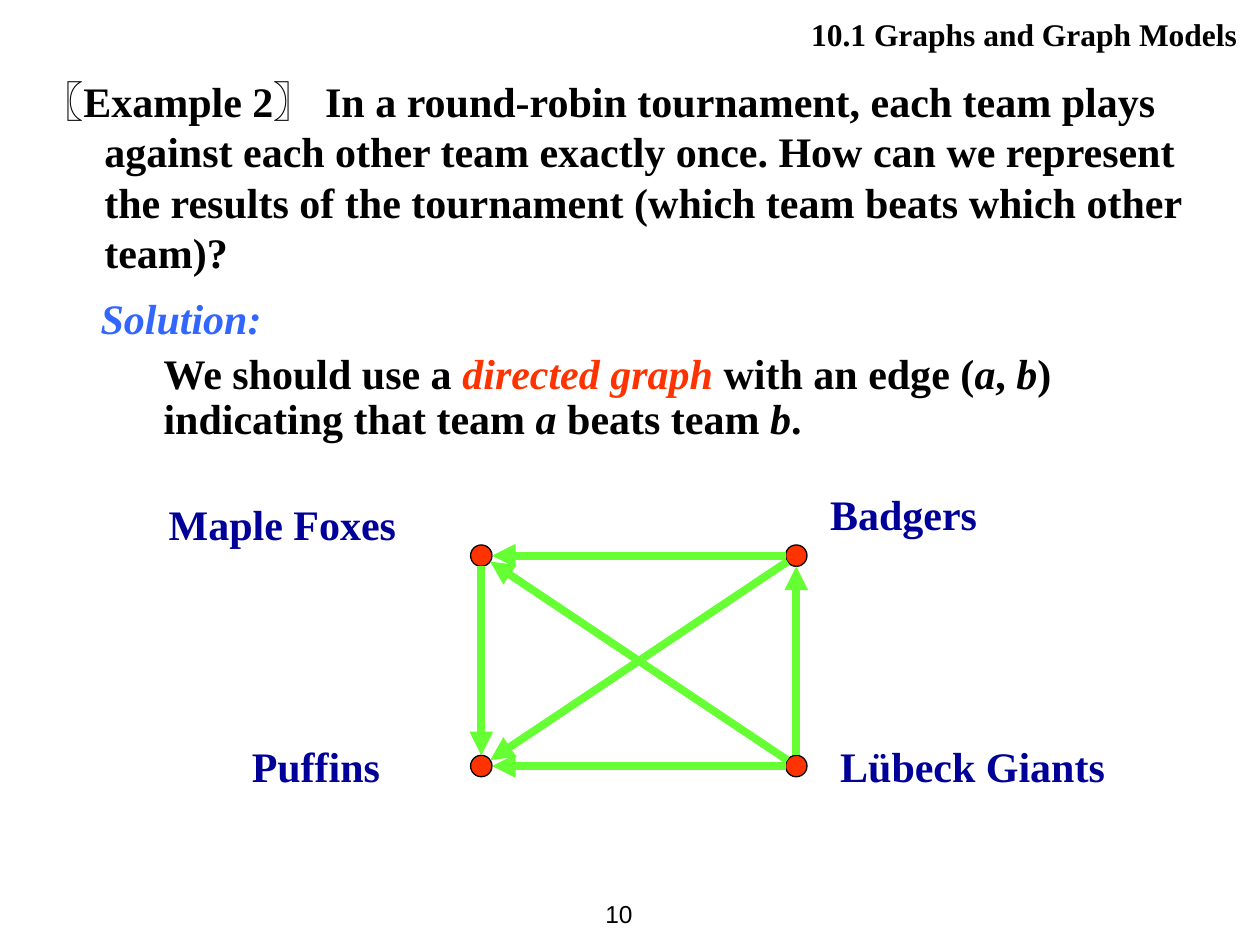
import math
import pptx
import pptx.util
import pptx.dml.color
import pptx.enum.shapes
import pptx.enum.text
import pptx.oxml.ns
from lxml import etree

Inches = pptx.util.Inches
Pt = pptx.util.Pt
ALIGN = pptx.enum.text.PP_ALIGN
ANCHOR = pptx.enum.text.MSO_ANCHOR
SERIF = "Times New Roman"
SANS = "Arial"
HUES = {"ink": "000000", "blue": "3366FF", "red": "FF3300",
        "navy": "000099", "green": "66FF33"}
SIDE = 0.17
DOTS = {"maple": (3.82, 4.41), "bruin": (6.32, 4.41),
        "puffin": (3.82, 6.08), "giant": (6.32, 6.08)}
LABELS = [("Maple Foxes", 1.24, 3.91, 2.58), ("Badgers", 6.49, 3.83, 1.75),
          ("Puffins", 1.9, 5.83, 1.83), ("Lübeck Giants", 6.57, 5.83, 3)]
EDGES = [("maple", "puffin"), ("bruin", "maple"), ("bruin", "puffin"),
         ("giant", "puffin"), ("giant", "maple"), ("giant", "bruin")]


def color(name):
    return pptx.dml.color.RGBColor.from_string(HUES[name])


def add_run(para, text, hue="ink", size=24, face=SERIF, bold=True, slant=False):
    run = para.add_run()
    run.text = text
    font = run.font
    font.name, font.size = face, Pt(size)
    font.bold, font.italic = bold, slant
    font.color.rgb = color(hue)


def add_box(slide, left, top, width, height, wrap=True):
    box = slide.shapes.add_textbox(*map(Inches, (left, top, width, height)))
    box.text_frame.word_wrap = wrap
    return box.text_frame


def indent(para, left, first):
    props = para._p.get_or_add_pPr()
    props.set("marL", str(Inches(left)))
    props.set("indent", str(Inches(first)))


def add_title(slide):
    title = slide.shapes.title
    title.left, title.top = Inches(5.71), Inches(0.02)
    title.width, title.height = Inches(4.29), Inches(0.5)
    frame = title.text_frame
    frame.word_wrap = True
    frame.vertical_anchor = ANCHOR.MIDDLE
    frame.margin_right = Inches(0.18)
    para = frame.paragraphs[0]
    para.alignment = ALIGN.RIGHT
    add_run(para, "10.1 Graphs and Graph Models", size=18)


def add_task(slide):
    para = add_box(slide, 0.23, 0.55, 9.53, 1.7).paragraphs[0]
    indent(para, 0.5, -0.5)
    add_run(para, "〖", face=SANS)
    add_run(para, "Example 2")
    add_run(para, "〗 ", face=SANS)
    add_run(para, "In a round-robin tournament, each team plays against each "
            "other team exactly once. How can we represent the results of the "
            "tournament (which team beats which other team)?")


def add_answer(slide):
    frame = add_box(slide, 0.7, 2.27, 9.08, 1.31)
    add_run(frame.paragraphs[0], "Solution:", "blue", slant=True)
    para = frame.add_paragraph()
    indent(para, 0.5, 0)
    para.line_spacing = 0.9
    para.space_before = para.space_after = Pt(6)
    add_run(para, "We should use a ")
    add_run(para, "directed graph", "red", slant=True)
    parts = [" with an edge (", "a", ", ", "b", ") indicating that team ",
             "a", " beats team ", "b", "."]
    for place, text in enumerate(parts):
        add_run(para, text, slant=place % 2 == 1)


def add_dot(slide, x, y):
    kind = pptx.enum.shapes.MSO_SHAPE.FLOWCHART_CONNECTOR
    dot = slide.shapes.add_shape(kind, Inches(x - SIDE / 2), Inches(y - SIDE / 2),
                                 Inches(SIDE), Inches(SIDE))
    dot.shadow.inherit = False
    dot.fill.solid()
    dot.fill.fore_color.rgb = color("red")
    dot.line.color.rgb = color("ink")
    dot.line.width = Pt(0.75)


def add_edge(slide, start, end):
    (x, y), (u, v) = start, end
    part = SIDE / 2 / math.dist(start, end)
    dx, dy = (u - x) * part, (v - y) * part
    kind = pptx.enum.shapes.MSO_CONNECTOR.STRAIGHT
    ends = map(Inches, (x + dx, y + dy, u - dx, v - dy))
    edge = slide.shapes.add_connector(kind, *ends)
    edge.line.color.rgb = color("green")
    edge.line.width = Pt(4.5)
    qn = pptx.oxml.ns.qn
    etree.SubElement(edge.line._get_or_add_ln(), qn("a:tailEnd"), type="triangle")
    etree.SubElement(edge._element.spPr, qn("a:effectLst"))


def add_page(slide):
    frame = add_box(slide, 4.45, 7, 0.67, 0.5, wrap=False)
    frame.vertical_anchor = ANCHOR.MIDDLE
    para = frame.paragraphs[0]
    para.alignment = ALIGN.RIGHT
    add_run(para, "10", size=14, face=SANS, bold=False)


def main():
    deck = pptx.Presentation()
    deck.slide_width, deck.slide_height = Inches(10), Inches(7.5)
    slide = deck.slides.add_slide(deck.slide_layouts[5])
    add_title(slide)
    add_page(slide)
    add_task(slide)
    add_answer(slide)
    for text, left, top, width in LABELS:
        frame = add_box(slide, left, top, width, 0.5)
        add_run(frame.paragraphs[0], text, "navy")
    for x, y in DOTS.values():
        add_dot(slide, x, y)
    for start, end in EDGES:
        add_edge(slide, DOTS[start], DOTS[end])
    deck.save("out.pptx")


if __name__ == "__main__":
    main()
